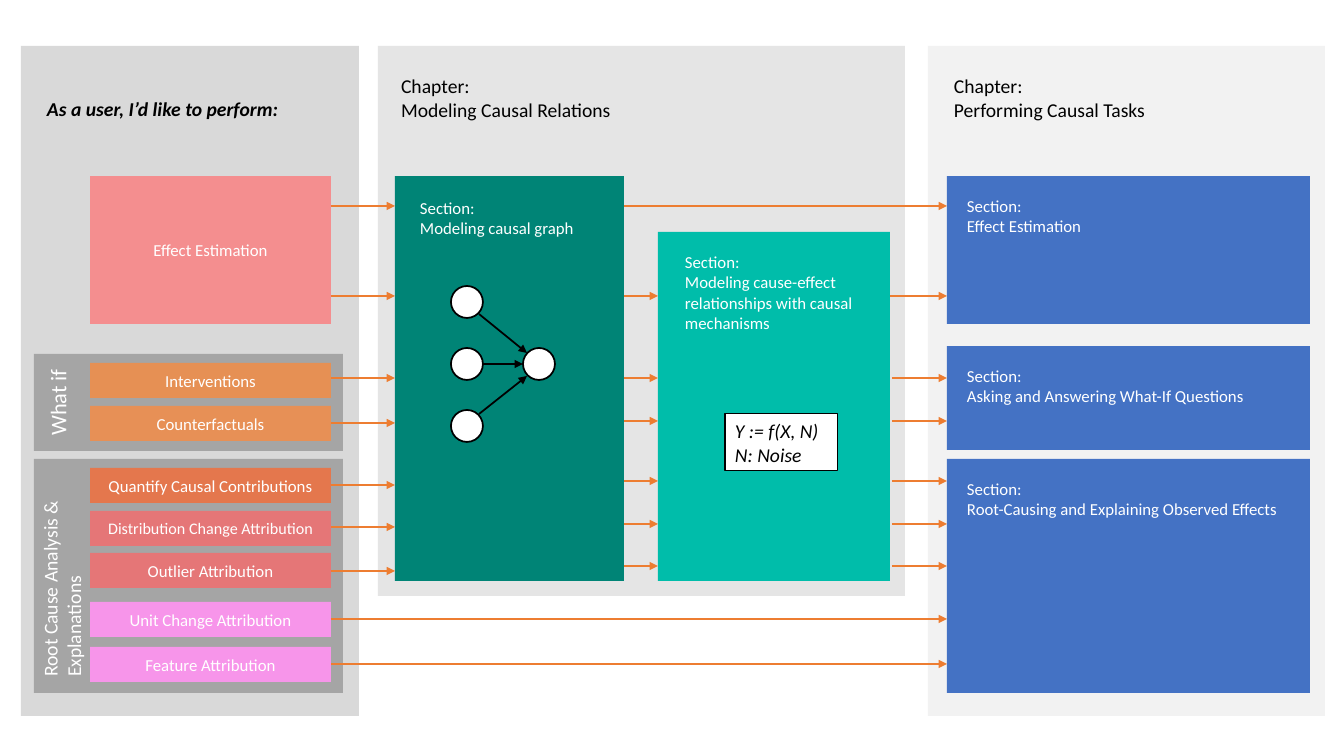
from dataclasses import dataclass
from itertools import chain
from lxml.etree import SubElement as Sub
from pptx import Presentation
from pptx.dml.color import RGBColor as Rgb
from pptx.enum.shapes import MSO_CONNECTOR as Link, MSO_SHAPE as Kind
from pptx.enum.text import MSO_ANCHOR as Anchor, MSO_AUTO_SIZE as Auto, PP_ALIGN as Align
from pptx.oxml.ns import qn
from pptx.util import Pt

SCALE = 914400 / 100.8
FONT = "Calibri"
HUES = {
    "black": "000000", "white": "FFFFFF", "user": "D9D9D9", "model": "E5E5E5",
    "task": "F2F2F2", "graph": "008476", "cause": "00BDAA", "blue": "4472C4",
    "arrow": "ED7D31", "effect": "F48E8F", "act": "E69054", "counter": "E79056",
    "amount": "E4774D", "red": "E57677", "pink": "F795EA",
}


@dataclass(frozen=True)
class Text:
    """Lines of text with their format; insets run left, top, right, bottom."""
    lines: tuple[str, ...]
    size: float = 12
    hue: str = "white"
    align: Align = Align.LEFT
    anchor: Anchor = Anchor.TOP
    inset: tuple[int, int, int, int] = (10, 5, 10, 5)
    bold: bool = False
    slant: bool = False
    turned: bool = False


@dataclass(frozen=True)
class Box:
    """A filled shape, with optional text, edge width and opacity."""
    x: int
    y: int
    w: int
    h: int
    fill: str
    text: Text | None = None
    edge: float = 0
    alpha: int = 100
    kind: Kind = Kind.RECTANGLE


@dataclass(frozen=True)
class Note:
    """Text that stands without a fill."""
    x: int
    y: int
    w: int
    h: int
    text: Text


@dataclass(frozen=True)
class Arrow:
    """A straight arrow between two points."""
    x: int
    y: int
    to_x: int
    to_y: int
    hue: str = "arrow"
    width: float = 1.5


def px(*spans: int) -> list[int]:
    """Turn pixels into EMU."""
    return [round(span * SCALE) for span in spans]


def tint(name: str) -> Rgb:
    """Look up a colour by name."""
    return Rgb.from_string(HUES[name])


def write(frame, text: Text) -> None:
    """Fill a text frame run by run."""
    frame.word_wrap = True
    frame.auto_size = Auto.NONE
    frame.vertical_anchor = text.anchor
    (frame.margin_left, frame.margin_top,
     frame.margin_right, frame.margin_bottom) = px(*text.inset)
    for spot, line in enumerate(text.lines):
        para = frame.add_paragraph() if spot else frame.paragraphs[0]
        para.alignment = text.align
        run = para.add_run()
        run.text = line
        font = run.font
        font.name, font.size = FONT, Pt(text.size)
        font.bold, font.italic = text.bold, text.slant
        font.color.rgb = tint(text.hue)


def draw_box(slide, box: Box) -> None:
    """Draw a filled shape and its text."""
    shape = slide.shapes.add_shape(box.kind, *px(box.x, box.y, box.w, box.h))
    shape.shadow.inherit = False
    shape.fill.solid()
    shape.fill.fore_color.rgb = tint(box.fill)
    if box.alpha < 100:
        fill = shape.element.find(".//" + qn("a:srgbClr"))
        Sub(fill, qn("a:alpha"), val=str(box.alpha * 1000))
    if box.edge:
        shape.line.color.rgb = tint("black")
        shape.line.width = Pt(box.edge)
    else:
        shape.line.fill.background()
    if box.text:
        write(shape.text_frame, box.text)
        if box.text.turned:
            shape.element.find(".//" + qn("a:bodyPr")).set("vert", "vert270")


def draw_note(slide, note: Note) -> None:
    """Draw a text box."""
    shape = slide.shapes.add_textbox(*px(note.x, note.y, note.w, note.h))
    write(shape.text_frame, note.text)


def draw_arrow(slide, arrow: Arrow) -> None:
    """Draw an arrow with a triangle at its end."""
    ends = px(arrow.x, arrow.y, arrow.to_x, arrow.to_y)
    link = slide.shapes.add_connector(Link.STRAIGHT, *ends)
    link.line.color.rgb = tint(arrow.hue)
    link.line.width = Pt(arrow.width)
    props = link.element.find(qn("p:spPr"))
    Sub(props.find(qn("a:ln")), qn("a:tailEnd"), type="triangle")
    Sub(props, qn("a:effectLst"))


def draw_title(slide, note: Note) -> None:
    """Place the title in front of the panels."""
    title = slide.shapes.title
    title.left, title.top, title.width, title.height = px(note.x, note.y, note.w, note.h)
    write(title.text_frame, note.text)
    title.element.getparent().append(title.element)


PANELS = (
    Box(21, 46, 338, 670, "user"),
    Box(378, 46, 527, 550, "model"),
    Box(928, 46, 397, 670, "task"),
    Box(395, 176, 229, 405, "graph"),
    Box(658, 232, 232, 349, "cause"),
    Box(34, 354, 309, 97, "black", Text(("What if",), 16, align=Align.CENTER, turned=True), alpha=24),
    Box(34, 459, 309, 234, "black", Text(("Root Cause Analysis &", "Explanations"), 14,
                                         inset=(4, 5, 10, 16), turned=True), alpha=24),
)
TASKS = (
    ("Effect Estimation", 176, 148, "effect", 12),
    ("Interventions", 363, 35, "act", 12),
    ("Counterfactuals", 406, 35, "counter", 12),
    ("Quantify Causal Contributions", 468, 35, "amount", 12),
    ("Distribution Change Attribution", 511, 35, "red", 11.5),
    ("Outlier Attribution", 553, 35, "red", 12),
    ("Unit Change Attribution", 602, 35, "pink", 12),
    ("Feature Attribution", 647, 35, "pink", 12),
)
PARTS = (
    ("Effect Estimation", 176, 148),
    ("Asking and Answering What-If Questions", 346, 104),
    ("Root-Causing and Explaining Observed Effects", 459, 234),
)
HEAD = Note(37, 92, 266, 34, Text(("As a user, I’d like to perform:",), 14, "black", bold=True, slant=True))
NOTES = (
    Note(391, 69, 256, 57, Text(("Chapter:", "Modeling Causal Relations"), 14, "black")),
    Note(944, 69, 240, 57, Text(("Chapter:", "Performing Causal Tasks"), 14, "black")),
    Note(410, 193, 193, 72, Text(("Section:", "Modeling causal graph"))),
    Note(675, 247, 255, 92, Text(("Section:", "Modeling cause-effect relationships with causal mechanisms"))),
)
RULE = Box(725, 414, 113, 57, "white", Text(("Y := f(X, N)", "N: Noise"), 14, "black", slant=True), 0.75)
NODES = ((451, 286), (451, 348), (451, 410), (523, 348))
EDGES = ((479, 314, 527, 353), (483, 364, 523, 364), (479, 414, 527, 376))
LANES = (
    (331, 395, (206, 296, 378, 423, 485, 527, 571)),
    (624, 658, (296, 378, 421, 481, 524, 566)),
    (890, 947, (296,)),
    (892, 947, (378, 421, 481, 524, 566)),
    (624, 947, (206,)),
    (331, 947, (619, 664)),
)


def main() -> None:
    """Build the slide and save it."""
    deck = Presentation()
    deck.slide_width, deck.slide_height = px(1344, 756)
    slide = deck.slides.add_slide(deck.slide_layouts[5])
    tasks = (Box(90, y, 241, h, hue, Text((name,), size, align=Align.CENTER, anchor=Anchor.MIDDLE))
             for name, y, h, hue, size in TASKS)
    parts = (Box(947, y, 363, h, "blue", Text(("Section:", name), inset=(20, 20, 20, 20)))
             for name, y, h in PARTS)
    nodes = (Box(x, y, 32, 32, "white", edge=1.25, kind=Kind.OVAL) for x, y in NODES)
    for box in chain(PANELS, tasks, parts, (RULE,), nodes):
        draw_box(slide, box)
    draw_title(slide, HEAD)
    for note in NOTES:
        draw_note(slide, note)
    lanes = (Arrow(x, y, to_x, y) for x, to_x, rows in LANES for y in rows)
    edges = (Arrow(*ends, "black", 1.25) for ends in EDGES)
    for arrow in chain(lanes, edges):
        draw_arrow(slide, arrow)
    deck.save("out.pptx")


main()
